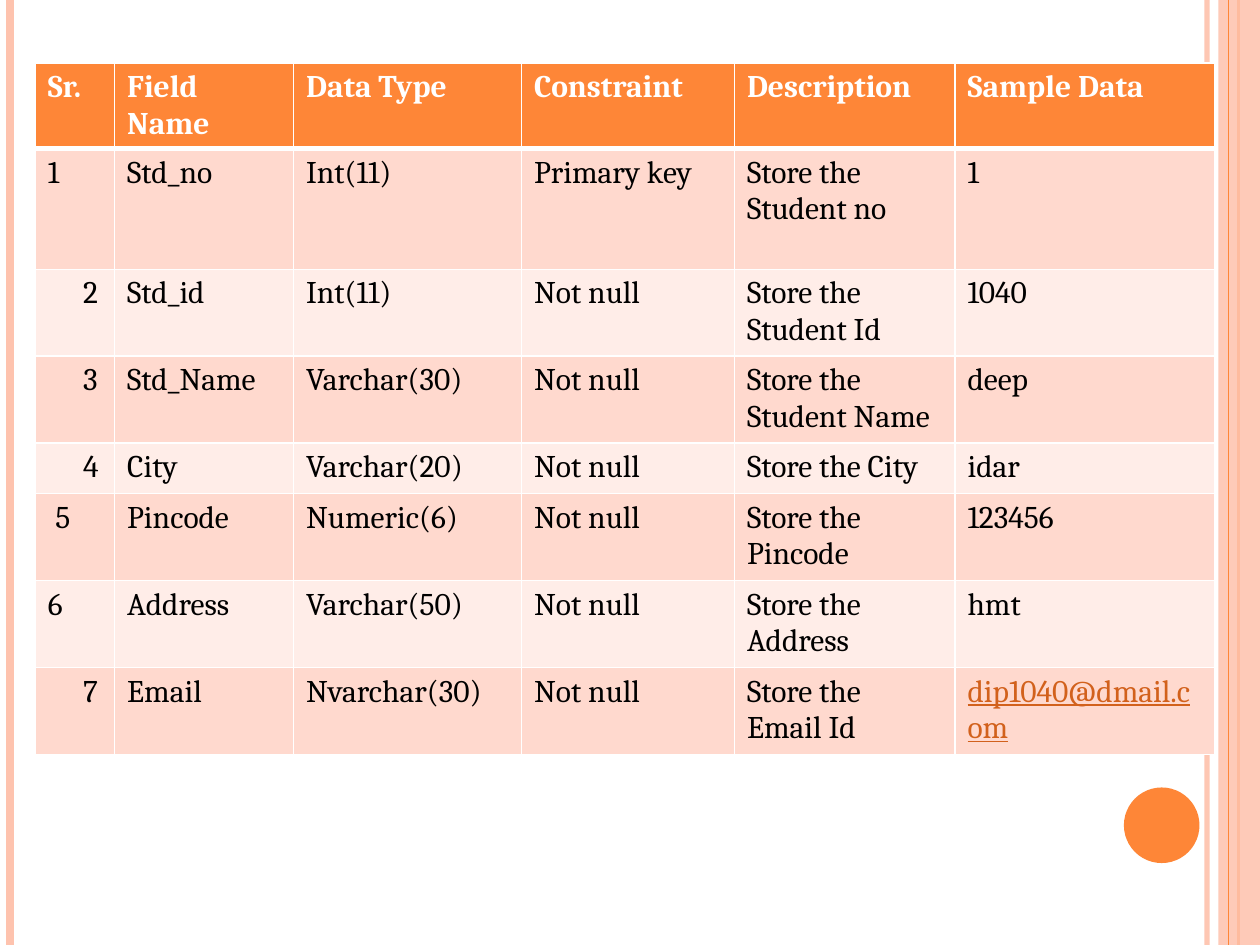
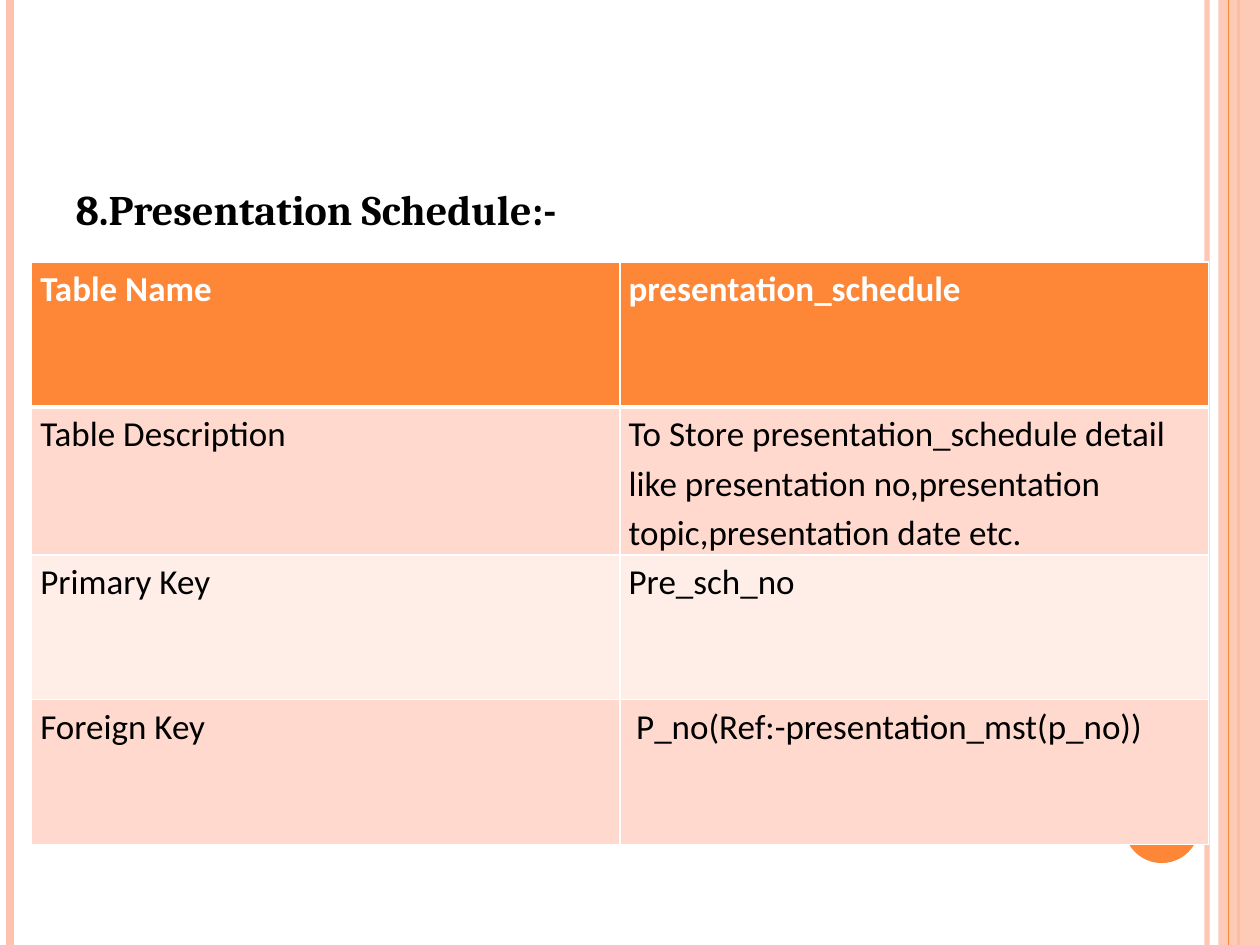
from dataclasses import dataclass, field
from typing import Any

import lxml.etree
import pptx
import pptx.dml.color
import pptx.enum.shapes
import pptx.enum.text
import pptx.oxml.ns
import pptx.util

Inches = pptx.util.Inches
Pt = pptx.util.Pt
RGBColor = pptx.dml.color.RGBColor
qn = pptx.oxml.ns.qn

ORANGE = RGBColor(0xFE, 0x86, 0x37)
PEACH = RGBColor(0xFE, 0xC3, 0xAE)
DARK_BAND = RGBColor(0xFF, 0xD9, 0xCE)
LIGHT_BAND = RGBColor(0xFF, 0xED, 0xE8)
LINK_ORANGE = RGBColor(0xD2, 0x61, 0x1C)
WHITE = RGBColor(0xFF, 0xFF, 0xFF)
BLACK = RGBColor(0, 0, 0)

SLIDE_WIDTH, SLIDE_HEIGHT = Inches(10), Inches(7.5)
TITLE_ONLY, BLANK = 5, 6
HEADER_RULE, CELL_RULE = Pt(3), Pt(1)


@dataclass
class Rule:
    x: float
    weight: float
    color: RGBColor
    opacity: int = 100


@dataclass
class TableStyle:
    font: str
    size: int
    margin_x: float
    margin_y: float
    line_spacing: float = 1.0


@dataclass
class TableSpec:
    left: float
    top: float
    columns: list[float]
    rows: list[float]
    texts: list[list[str]]
    style: TableStyle
    indents: dict[tuple[int, int], float] = field(default_factory=dict)
    links: set[tuple[int, int]] = field(default_factory=set)


RULES_BEHIND_BAND = [
    Rule(9.58, 3, PEACH, 93),
    Rule(0.08, 4.5, PEACH),
    Rule(9.83, 1.5, ORANGE),
]
RULE_ON_BAND = Rule(9.75, 0.75, ORANGE)

FIELD_TABLE = TableSpec(
    left=0.28,
    top=0.5,
    columns=[0.63, 1.42, 1.81, 1.69, 1.75, 2.06],
    rows=[0.67, 0.96, 0.69, 0.69, 0.4, 0.69, 0.69, 0.69],
    texts=[
        ["Sr.", "Field Name", "Data Type", "Constraint", "Description", "Sample Data"],
        ["1", "Std_no", "Int(11)", "Primary key", "Store the Student no", "1"],
        ["2", "Std_id", "Int(11)", "Not null", "Store the Student Id", "1040"],
        ["3", "Std_Name", "Varchar(30)", "Not null", "Store the Student Name", "deep"],
        ["4", "City", "Varchar(20)", "Not null", "Store the City", "idar"],
        ["5", "Pincode", "Numeric(6)", "Not null", "Store the Pincode", "123456"],
        ["6", "Address", "Varchar(50)", "Not null", "Store the Address", "hmt"],
        ["7", "Email", "Nvarchar(30)", "Not null", "Store the Email Id", "dip1040@dmail.com"],
    ],
    style=TableStyle("Cambria", 18, 0.1, 0.05),
    indents={(2, 0): 0.28, (3, 0): 0.28, (4, 0): 0.28, (5, 0): 0.06, (7, 0): 0.28},
    links={(7, 5)},
)

SCHEDULE_TABLE = TableSpec(
    left=0.25,
    top=2.08,
    columns=[4.67] * 2,
    rows=[1.15] * 4,
    texts=[
        ["Table Name", "presentation_schedule"],
        [
            "Table Description",
            "To Store presentation_schedule detail like presentation no,"
            "presentation topic,presentation date etc.",
        ],
        ["Primary Key", "Pre_sch_no"],
        ["Foreign Key", "P_no(Ref:-presentation_mst(p_no))"],
    ],
    style=TableStyle("Calibri", 20, 0.07, 0, 1.15),
    indents={(3, 1): 0.06},
)


def set_attributes(target: Any, values: dict[str, Any]) -> None:
    for name, value in values.items():
        setattr(target, name, value)


def set_font(font: Any, color: RGBColor, **values: Any) -> None:
    set_attributes(font, values)
    font.color.rgb = color


def set_opacity(shape: Any, percent: int) -> None:
    color = next(shape._element.spPr.iter(qn("a:srgbClr")))
    lxml.etree.SubElement(color, qn("a:alpha"), val=str(percent * 1000))


def add_rule(slide: Any, rule: Rule) -> None:
    connector = slide.shapes.add_connector(
        pptx.enum.shapes.MSO_CONNECTOR.STRAIGHT,
        Inches(rule.x), 0, Inches(rule.x), SLIDE_HEIGHT,
    )
    connector.line.color.rgb = rule.color
    connector.line.width = Pt(rule.weight)
    if rule.opacity < 100:
        set_opacity(connector, rule.opacity)
    lxml.etree.SubElement(connector._element.spPr, qn("a:effectLst"))


def add_plain_shape(
    slide: Any, kind: Any, box: tuple[float, float, float, float], color: RGBColor
) -> Any:
    shape = slide.shapes.add_shape(kind, *map(Inches, box))
    shape.shadow.inherit = False
    shape.fill.solid()
    shape.fill.fore_color.rgb = color
    shape.line.fill.background()
    return shape


def add_frame(slide: Any) -> None:
    """Draw the side rules, right band and corner disc shared by all slides."""
    shapes = pptx.enum.shapes.MSO_SHAPE
    for rule in RULES_BEHIND_BAND:
        add_rule(slide, rule)
    band = add_plain_shape(slide, shapes.RECTANGLE, (9.67, 0, 0.33, 7.5), PEACH)
    set_opacity(band, 87)
    add_rule(slide, RULE_ON_BAND)
    add_plain_shape(slide, shapes.OVAL, (8.92, 6.25, 0.6, 0.6), ORANGE)


def set_borders(cell: Any, row: int) -> None:
    """Rule the cell in white, heavier where the header meets the body."""
    weights = {
        "a:lnL": CELL_RULE,
        "a:lnR": CELL_RULE,
        "a:lnT": HEADER_RULE if row == 1 else CELL_RULE,
        "a:lnB": HEADER_RULE if row == 0 else CELL_RULE,
    }
    properties = cell._tc.get_or_add_tcPr()
    for position, (tag, weight) in enumerate(weights.items()):
        line = lxml.etree.Element(qn(tag), w=str(int(weight)))
        fill = lxml.etree.SubElement(line, qn("a:solidFill"))
        lxml.etree.SubElement(fill, qn("a:srgbClr"), val=str(WHITE))
        properties.insert(position, line)


def format_cell(cell: Any, spec: TableSpec, row: int, column: int) -> None:
    style = spec.style
    is_header = row == 0
    is_link = (row, column) in spec.links
    margin_x, margin_y = Inches(style.margin_x), Inches(style.margin_y)
    set_attributes(cell, {
        "text": spec.texts[row][column],
        "margin_left": margin_x,
        "margin_right": margin_x,
        "margin_top": margin_y,
        "margin_bottom": margin_y,
    })
    cell.fill.solid()
    cell.fill.fore_color.rgb = ORANGE if is_header else (LIGHT_BAND, DARK_BAND)[row % 2]
    set_borders(cell, row)
    paragraph = cell.text_frame.paragraphs[0]
    paragraph.line_spacing = style.line_spacing
    if (row, column) in spec.indents:
        indent = Inches(spec.indents[row, column])
        paragraph._p.get_or_add_pPr().set("marL", str(int(indent)))
    color = WHITE if is_header else LINK_ORANGE if is_link else BLACK
    set_font(paragraph.runs[0].font, color, name=style.font, size=Pt(style.size),
             bold=is_header, underline=is_link)


def add_data_table(slide: Any, spec: TableSpec) -> None:
    table = slide.shapes.add_table(
        len(spec.rows), len(spec.columns), Inches(spec.left), Inches(spec.top),
        Inches(sum(spec.columns)), Inches(sum(spec.rows)),
    ).table
    set_attributes(table, {"first_row": False, "horz_banding": False})
    for column, width in zip(table.columns, spec.columns):
        column.width = Inches(width)
    for row_index, height in enumerate(spec.rows):
        table.rows[row_index].height = Inches(height)
        for column_index in range(len(spec.columns)):
            format_cell(table.cell(row_index, column_index), spec, row_index, column_index)


def set_title(slide: Any, text: str) -> None:
    title = slide.shapes.title
    set_attributes(title, {
        "left": Inches(0.5), "top": Inches(1.41),
        "width": Inches(8.17), "height": Inches(0.6),
    })
    set_attributes(title.text_frame, {
        "text": text,
        "word_wrap": True,
        "vertical_anchor": pptx.enum.text.MSO_ANCHOR.TOP,
    })
    paragraph = title.text_frame.paragraphs[0]
    paragraph.alignment = pptx.enum.text.PP_ALIGN.LEFT
    set_font(paragraph.runs[0].font, BLACK, name="Cambria", size=Pt(24), bold=True)


def main() -> None:
    presentation = pptx.Presentation()
    set_attributes(presentation, {"slide_width": SLIDE_WIDTH, "slide_height": SLIDE_HEIGHT})
    layouts = presentation.slide_layouts

    field_slide = presentation.slides.add_slide(layouts[BLANK])
    add_frame(field_slide)
    add_data_table(field_slide, FIELD_TABLE)

    schedule_slide = presentation.slides.add_slide(layouts[TITLE_ONLY])
    add_frame(schedule_slide)
    set_title(schedule_slide, "8.Presentation Schedule:-")
    add_data_table(schedule_slide, SCHEDULE_TABLE)

    presentation.save("out.pptx")


if __name__ == "__main__":
    main()
